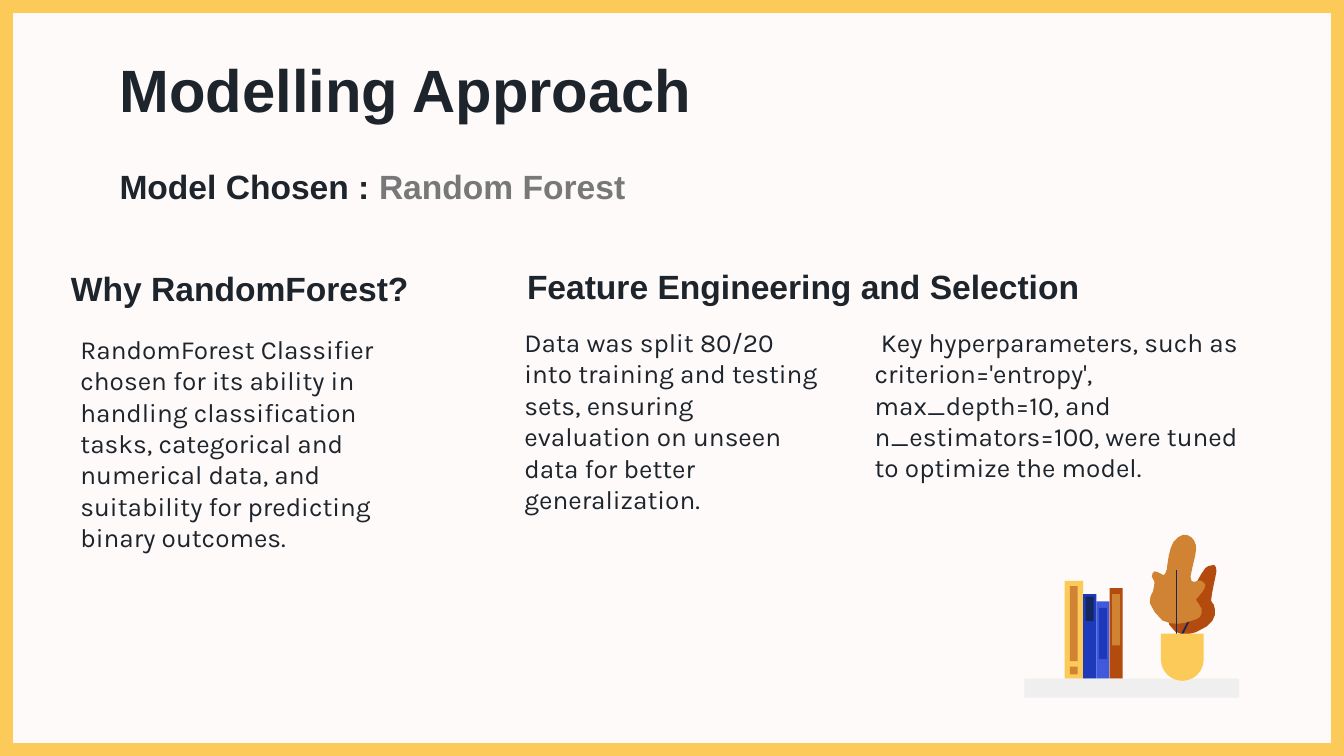
"""Build the Modelling Approach slide with its text columns and bookshelf."""
from dataclasses import dataclass
from lxml.etree import SubElement
from pptx import Presentation
from pptx.dml.color import RGBColor as Rgb
from pptx.enum.shapes import MSO_SHAPE as Kind
from pptx.enum.text import MSO_ANCHOR as Anchor, MSO_AUTO_SIZE as Fit, PP_ALIGN as Align
from pptx.oxml.ns import qn
from pptx.util import Cm, Pt


@dataclass
class Theme:
    back: str = "FDFAF9"
    ink: str = "1E242B"
    grey: str = "787878"
    gold: str = "FCCA59"
    tan: str = "D18334"
    rust: str = "B34A0E"
    navy: str = "13285E"
    blue: str = "1E3ABA"
    sky: str = "405ADB"
    shelf: str = "EFEFEF"
    head: str = "Arial"
    body: str = "Karla"
    big: int = 32
    mid: int = 18
    small: int = 14


theme = Theme()
deck = Presentation()
deck.slide_width, deck.slide_height = Cm(25.4), Cm(14.29)
slide = deck.slides.add_slide(deck.slide_layouts[4])
slide.background.fill.solid()
slide.background.fill.fore_color.rgb = Rgb.from_string(theme.back)
shapes = slide.shapes
holds = slide.placeholders


def paint(shape, color):
    shape.shadow.inherit = False
    shape.fill.solid()
    shape.fill.fore_color.rgb = Rgb.from_string(color)
    shape.line.fill.background()
    return shape


def block(kind, box, color):
    return paint(shapes.add_shape(kind, *map(Cm, box)), color)


frame = block(Kind.FRAME, (0, 0, 25.4, 14.29), theme.gold)
frame.adjustments[0] = 0.017

heads = [
    (shapes.title, (2.01, 0.74, 21.41, 1.6), "Modelling Approach", theme.big, Anchor.TOP),
    (holds[1], (1.09, 4.6, 7.57, 1.47), "Why RandomForest?", theme.mid, Anchor.BOTTOM),
    (holds[3], (9.71, 4.57, 11.96, 1.47), "Feature Engineering and Selection", theme.mid, Anchor.BOTTOM),
    (None, (2.01, 2.67, 14.02, 1.47), "Model Chosen : ", theme.mid, Anchor.BOTTOM),
]
lists = [
    (holds[2], (0, 6.05, 8.18, 4.55), 0,
     "RandomForest Classifier chosen for its ability in handling classification tasks, "
     "categorical and numerical data, and suitability for predicting binary outcomes."),
    (holds[4], (8.39, 5.92, 7.34, 3.45), 0,
     "Data was split 80/20 into training and testing sets, ensuring evaluation on "
     "unseen data for better generalization."),
    (None, (15.01, 5.92, 8.81, 3.45), 0.12,
     "Key hyperparameters, such as criterion='entropy', max_depth=10, and "
     "n_estimators=100, were tuned to optimize the model."),
]
texts = [(hold, box, text, size, anchor, theme.head, 0, 0) for hold, box, text, size, anchor in heads]
texts += [(hold, box, text, theme.small, Anchor.TOP, theme.body, 1.27, dent)
          for hold, box, dent, text in lists]

for hold, box, text, size, anchor, font, left, dent in texts:
    spot = hold or shapes.add_textbox(*map(Cm, box))
    spot.left, spot.top, spot.width, spot.height = map(Cm, box)
    area = spot.text_frame
    area.text = text
    area.word_wrap = True
    area.auto_size = Fit.NONE
    area.vertical_anchor = anchor
    area.margin_left = area.margin_right = area.margin_top = area.margin_bottom = Cm(0.25)
    para = area.paragraphs[0]
    para.alignment = Align.LEFT
    para.space_before = Pt(0)
    props = para._p.get_or_add_pPr()
    props.set("marL", str(Cm(left)))
    props.set("indent", str(Cm(dent)))
    SubElement(props, qn("a:buNone"))
    if text.startswith("Model Chosen"):
        para.add_run().text = "Random Forest"
    for run, color in zip(para.runs, (theme.ink, theme.grey)):
        run.font.name = font
        run.font.size = Pt(size)
        run.font.bold = font == theme.head
        run.font.color.rgb = Rgb.from_string(color)

base = 12.83
left = 20.12
books = [
    (0.35, 1.85, theme.gold, [(0.1, 1.42, theme.tan), (1.62, 0.15, theme.tan)]),
    (0.25, 1.6, theme.blue, [(0.05, 0.46, theme.navy)]),
    (0.25, 1.46, theme.sky, [(0.12, 0.97, theme.blue)]),
    (0.25, 1.71, theme.rust, [(0.11, 0.97, theme.tan)]),
]
for wide, tall, color, marks in books:
    top = base - tall
    block(Kind.RECTANGLE, (left, top, wide, tall), color)
    for drop, size, tint in marks:
        block(Kind.RECTANGLE, (left + (wide - 0.15) / 2, top + drop, 0.15, size), tint)
    left += wide
block(Kind.RECTANGLE, (19.36, base, 4.06, 0.36), theme.shelf)

rear = [(22.89, 10.69), (22.78, 10.74), (22.62, 11), (22.45, 11.35), (22.35, 11.43),
        (22.23, 11.38), (22.1, 11.51), (22.1, 11.81), (22.38, 12.01), (22.81, 11.84),
        (22.96, 11.63), (22.94, 11.43), (22.89, 11.35), (22.94, 11.05), (22.99, 10.8),
        (22.96, 10.69)]
twig = [(22.53, 11.58), (22.2, 12.22), (22.25, 12.22), (22.56, 11.58)]
front = [(22.36, 10.11), (22.18, 10.24), (22.09, 10.5), (22.05, 10.77), (22, 10.87),
         (21.95, 10.85), (21.82, 10.8), (21.77, 10.9), (21.82, 11), (21.79, 11.18),
         (21.73, 11.4), (21.97, 11.73), (22.28, 11.79), (22.53, 11.73), (22.68, 11.66),
         (22.71, 11.51), (22.61, 11.35), (22.63, 11.3), (22.73, 11.18), (22.78, 11.05),
         (22.68, 10.97), (22.56, 11), (22.5, 10.9), (22.59, 10.5), (22.6, 10.3), (22.52, 10.16)]
stem = [(22.22, 10.77), (22.22, 12.32), (22.25, 12.32), (22.25, 10.77)]
plant = [(rear, theme.rust, 2), (twig, theme.navy, 1), (front, theme.tan, 2), (stem, theme.navy, 1)]

for knots, color, steps in plant:
    trail = []
    for i, here in enumerate(knots):
        prev, after, far = knots[i - 1], knots[(i + 1) % len(knots)], knots[(i + 2) % len(knots)]
        trail.append(tuple(map(Cm, here)))
        if steps == 2:
            trail.append(tuple(Cm((9 * (b + c) - a - d) / 16)
                               for a, b, c, d in zip(prev, here, after, far)))
    path = shapes.build_freeform(*trail[0])
    path.add_line_segments(trail[1:], close=True)
    paint(path.convert_to_shape(), color)

pot = block(Kind.ROUND_2_SAME_RECTANGLE, (21.94, 11.98, 0.81, 0.89), theme.gold)
pot.adjustments[0], pot.adjustments[1] = 0, 0.5

deck.save("out.pptx")
